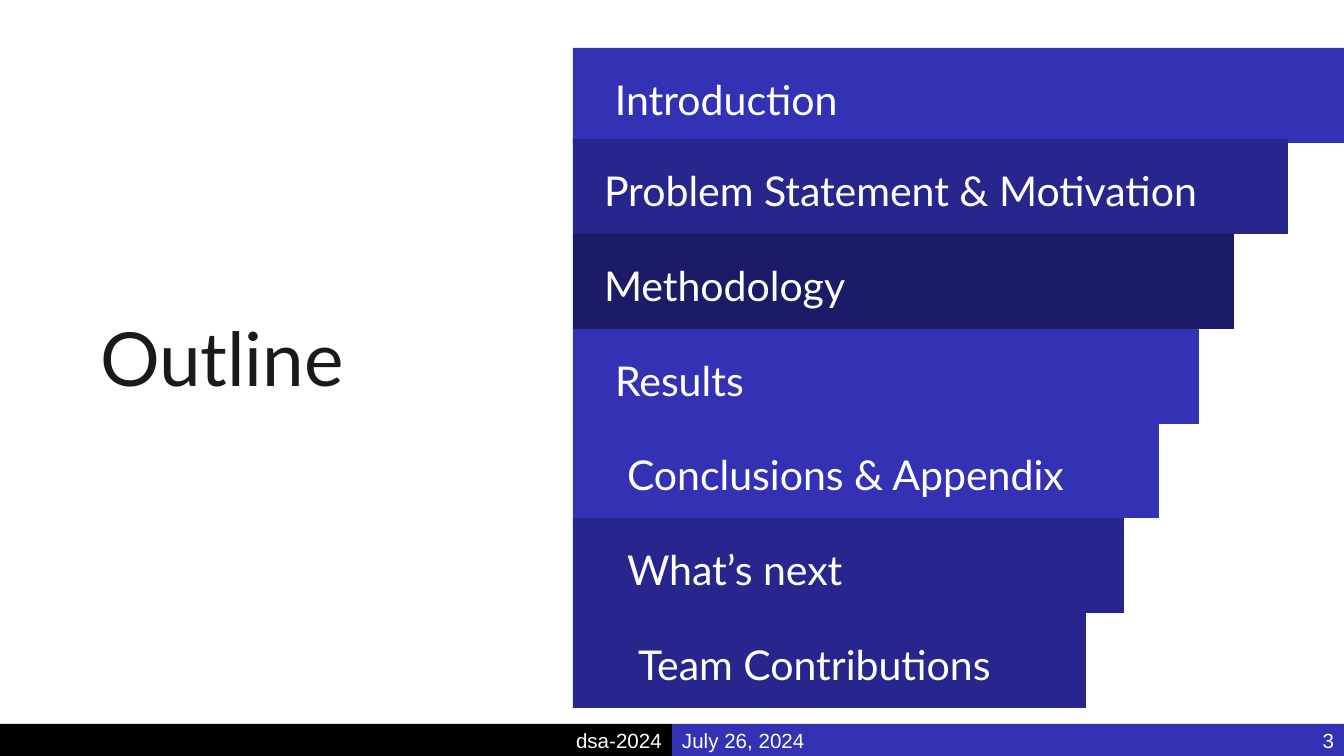
from pptx import Presentation
from pptx.dml.color import RGBColor
from pptx.enum.shapes import MSO_SHAPE
from pptx.enum.text import MSO_ANCHOR, PP_ALIGN
from pptx.util import Pt

WIDE, HIGH = 1344, 756
SCALE = 9144000 / WIDE
BLUE, NAVY, DARK = "3331B4", "26268C", "1C1B67"
WHITE, BLACK, INK = "FFFFFF", "000000", "1A1A1A"


def px(n):
    return round(n * SCALE)


def color(code):
    return RGBColor.from_string(code)


class Deck:
    font, size, space = "Lato", 22, 1.15
    pad = (13, 7)

    def __init__(self):
        self.file = Presentation()
        self.file.slide_width = px(WIDE)
        self.file.slide_height = px(HIGH)
        self.slide = self.file.slides.add_slide(self.file.slide_layouts[6])

    def bar(self, x, y, w, h, fill):
        shape = self.slide.shapes.add_shape(
            MSO_SHAPE.RECTANGLE, px(x), px(y), px(w), px(h))
        shape.shadow.inherit = False
        shape.fill.solid()
        shape.fill.fore_color.rgb = color(fill)
        shape.line.fill.background()
        return shape

    def label(self, x, y, w, h, text, size=size, ink=WHITE):
        box = self.slide.shapes.add_textbox(px(x), px(y), px(w), px(h))
        self.words(box, text, self.font, size, ink, self.pad, self.space)

    def foot(self, x, w, fill, text, align):
        shape = self.bar(x, 724, w, HIGH - 724, fill)
        self.words(shape, text, "Arial", 11, WHITE, (10, 5), 1, align)

    def words(self, shape, text, font, size, ink, pad, space,
              align=PP_ALIGN.LEFT):
        frame = shape.text_frame
        frame.word_wrap = True
        frame.vertical_anchor = MSO_ANCHOR.MIDDLE
        frame.margin_left = frame.margin_right = px(pad[0])
        frame.margin_top = frame.margin_bottom = px(pad[1])
        para = frame.paragraphs[0]
        para.alignment = align
        para.line_spacing = float(space)
        run = para.add_run()
        run.text = text
        run.font.name = font
        run.font.size = Pt(size)
        run.font.color.rgb = color(ink)


def main():
    deck = Deck()

    # Footer
    deck.foot(672, 302, BLUE, "July 26, 2024", PP_ALIGN.LEFT)
    deck.foot(0, 672, BLACK, "dsa-2024", PP_ALIGN.RIGHT)
    deck.foot(974, 370, BLUE, "3", PP_ALIGN.RIGHT)

    # Title
    deck.label(87, 309, 284, 82, "Outline", 40, INK)

    # Outline steps: bar width, fill, label left, label width, text
    steps = [
        (771, BLUE, 602, 708, "Introduction"),
        (715, NAVY, 591, 642, "Problem Statement & Motivation"),
        (661, DARK, 591, 642, "Methodology"),
        (626, BLUE, 602, 633, "Results"),
        (586, BLUE, 614, 633, "Conclusions & Appendix"),
        (551, NAVY, 614, 633, "What’s next"),
        (513, NAVY, 625, 633, "Team Contributions"),
    ]
    high, text_high = 95, 43
    for i, (wide, fill, left, span, text) in enumerate(steps):
        # The first bar tucks slightly under the second
        top = 48 if i == 0 else round(139 + 94.8 * (i - 1))
        deck.bar(573, top, wide, high, fill)
        deck.label(left, top + (high - text_high) // 2, span, text_high, text)

    deck.file.save("out.pptx")


if __name__ == "__main__":
    main()
